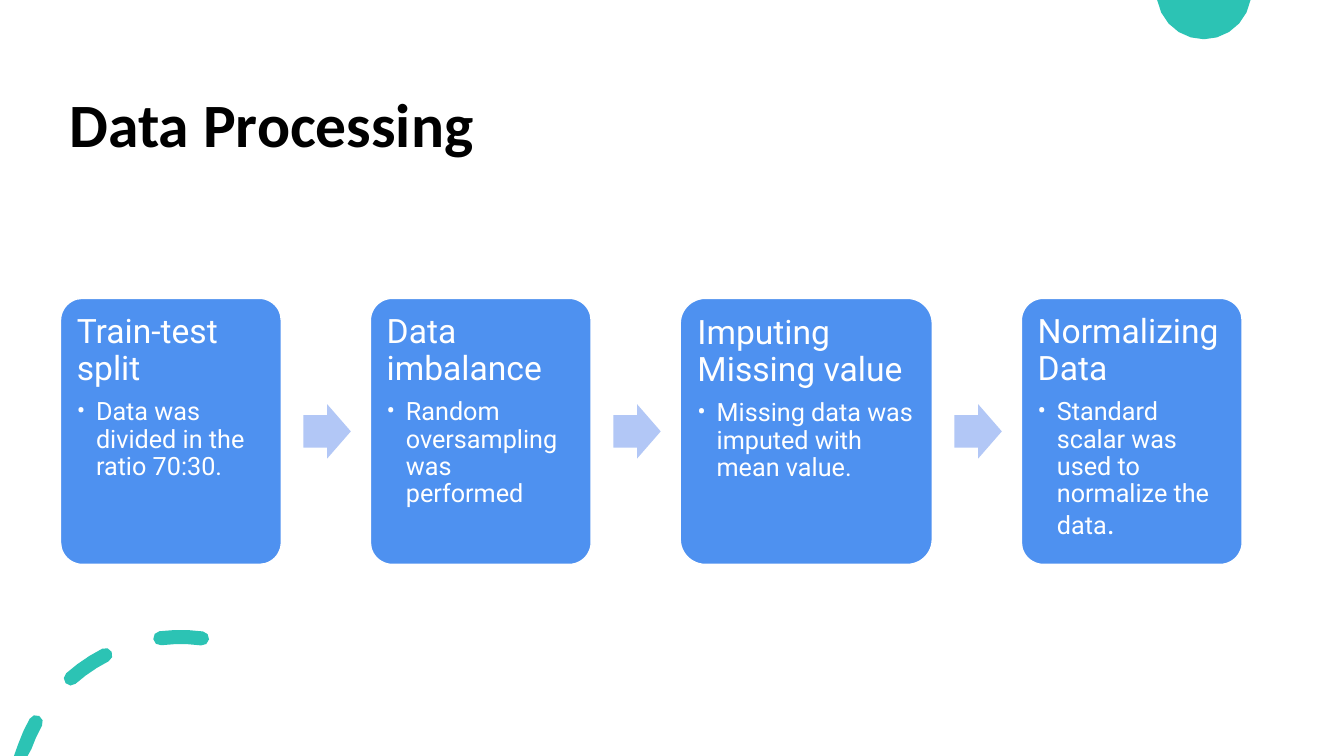
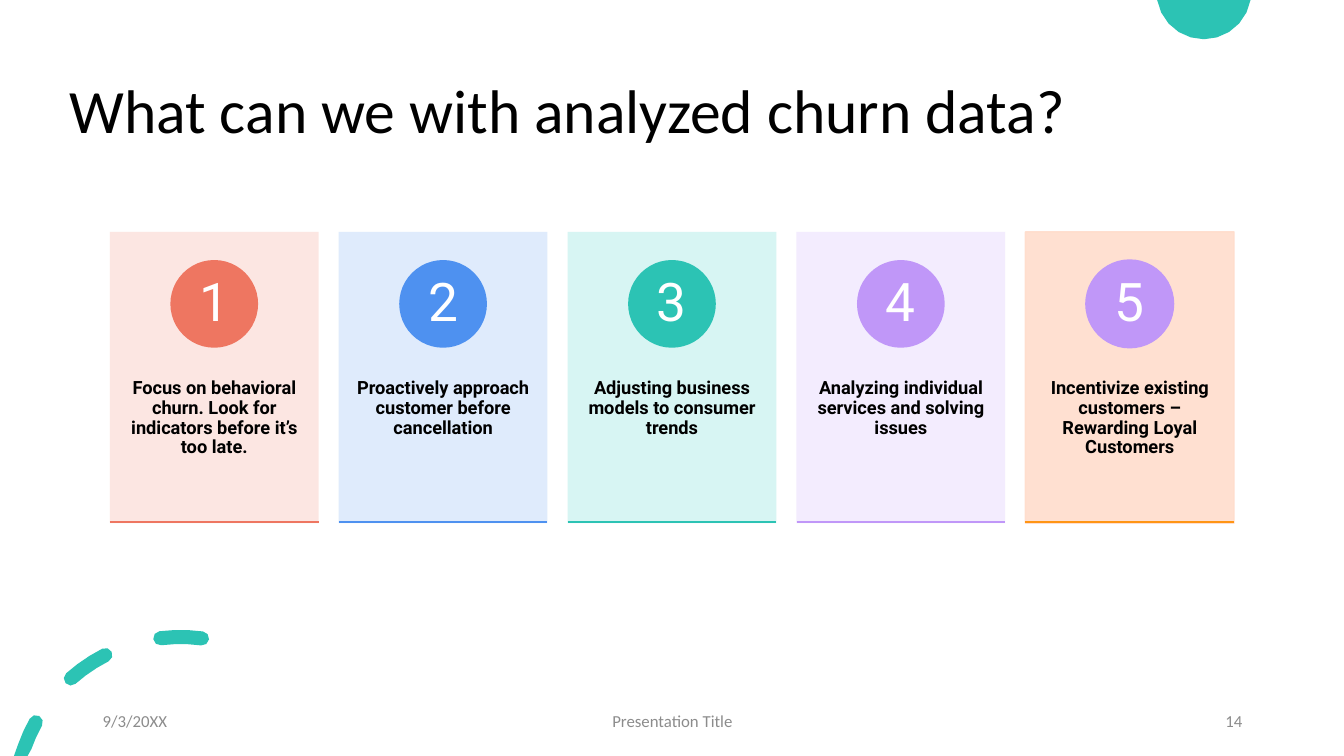
"""Builds two slides: data processing steps and uses of churn data."""
from dataclasses import dataclass
from math import cos, radians, sin

from lxml import etree
from pptx import Presentation
from pptx.dml.color import RGBColor
from pptx.enum.shapes import MSO_CONNECTOR, MSO_SHAPE
from pptx.enum.text import MSO_ANCHOR, PP_ALIGN
from pptx.oxml.ns import qn
from pptx.util import Inches, Pt

LEFT, CENTER, RIGHT = PP_ALIGN.LEFT, PP_ALIGN.CENTER, PP_ALIGN.RIGHT
TOP, MIDDLE = MSO_ANCHOR.TOP, MSO_ANCHOR.MIDDLE
RECT, ROUND_RECT = MSO_SHAPE.RECTANGLE, MSO_SHAPE.ROUNDED_RECTANGLE
ARROW, OVAL = MSO_SHAPE.RIGHT_ARROW, MSO_SHAPE.OVAL
STRAIGHT = MSO_CONNECTOR.STRAIGHT

SLIDE_W, SLIDE_H = 13.33, 7.5
HEAD_FONT, BODY_FONT = "Calibri", "Roboto"
BLACK, WHITE, GREY = "000000", "FFFFFF", "8C8C8C"
TEAL, BLUE, PALE_BLUE = "2CC3B4", "4E91F0", "B2C7F6"
CORAL, PURPLE, ORANGE, PEACH = "EE7661", "C097F8", "FF9514", "FFDDCC"

Points = list[tuple[float, float]]


@dataclass
class Run:
    text: str
    size: float
    color: str = WHITE
    font: str = BODY_FONT
    bold: bool = False


@dataclass
class Step:
    title: str
    runs: list[Run]
    width: float = 2.19


@dataclass
class Card:
    text: str
    fill: str
    accent: str
    rule: str
    border: str | None = None
    ring: str | None = None


@dataclass
class Footer:
    text: str
    left: float
    width: float
    align: PP_ALIGN


STEPS = [
    Step("Train-test split", [Run("Data was divided in the ratio 70:30.", 18)]),
    Step("Data imbalance", [Run("Random oversampling was performed", 18)]),
    Step("Imputing Missing value",
         [Run("Missing data was imputed with mean value.", 18)], 2.5),
    Step("Normalizing Data",
         [Run("Standard scalar was used to normalize the data", 18), Run(".", 22)]),
]
CARDS = [
    Card("Focus on behavioral churn. Look for indicators before it’s too late.",
         "FCE4DF", CORAL, CORAL),
    Card("Proactively approach customer before cancellation", "DCE9FC", BLUE, BLUE),
    Card("Adjusting business models to consumer trends", "D3F5F2", TEAL, TEAL),
    Card("Analyzing individual services and solving issues", "F2EAFE", PURPLE, PURPLE),
    Card("Incentivize existing customers – Rewarding Loyal Customers",
         PEACH, PURPLE, ORANGE, PEACH, PURPLE),
]
FOOTERS = [
    Footer("9/3/20XX", 0.92, 3, LEFT),
    Footer("Presentation Title", 4.42, 4.5, CENTER),
    Footer("14", 9.42, 3, RIGHT),
]


def rgb(color: str) -> RGBColor:
    return RGBColor.from_string(color)


def paint(sp, fill: str, line: str | None = None) -> None:
    sp.shadow.inherit = False
    sp.fill.solid()
    sp.fill.fore_color.rgb = rgb(fill)
    if line:
        sp.line.color.rgb = rgb(line)
        sp.line.width = Pt(1)
    else:
        sp.line.fill.background()


def set_opacity(sp, percent: int) -> None:
    for clr in sp._element.spPr.iter(qn("a:srgbClr")):
        etree.SubElement(clr, qn("a:alpha")).set("val", str(percent * 1000))


def add_box(s, kind, left: float, top: float, width: float, height: float,
            fill: str, line: str | None = None):
    sp = s.shapes.add_shape(kind, Inches(left), Inches(top), Inches(width), Inches(height))
    paint(sp, fill, line)
    return sp


def set_frame(sp, anchor, insets: tuple[float, float, float, float]):
    tf = sp.text_frame
    tf.word_wrap = True
    tf.vertical_anchor = anchor
    tf.margin_left, tf.margin_top, tf.margin_right, tf.margin_bottom = map(Inches, insets)
    return tf


def write(p, runs: list[Run], align=LEFT, spacing: float = 0.9, after: float = 0) -> None:
    p.alignment = align
    p.line_spacing = spacing
    p.space_after = Pt(after)
    for run in runs:
        r = p.add_run()
        r.text = run.text
        r.font.name = run.font
        r.font.size = Pt(run.size)
        r.font.bold = run.bold
        r.font.color.rgb = rgb(run.color)


def make_bullet(p, indent: float) -> None:
    p.level = 1
    pPr = p._p.get_or_add_pPr()
    pPr.set("marL", str(Inches(indent)))
    pPr.set("indent", str(-Inches(indent)))
    etree.SubElement(pPr, qn("a:buFont")).set("typeface", BODY_FONT)
    etree.SubElement(pPr, qn("a:buChar")).set("char", "•")


def add_label(s, left: float, top: float, width: float, height: float,
              run: Run, align=LEFT, spacing: float = 0.9) -> None:
    sp = s.shapes.add_textbox(Inches(left), Inches(top), Inches(width), Inches(height))
    tf = set_frame(sp, MIDDLE, (0.1, 0.05, 0.1, 0.05))
    write(tf.paragraphs[0], [run], align, spacing)


def polar(cx: float, cy: float, radius: float, angle: float) -> tuple[float, float]:
    return cx + radius * cos(radians(angle)), cy - radius * sin(radians(angle))


def arc(cx: float, cy: float, radius: float, start: float, end: float, steps: int) -> Points:
    return [polar(cx, cy, radius, start + (end - start) * i / steps)
            for i in range(steps + 1)]


def dash(start: float, end: float) -> Points:
    cx, cy, radius, half = 1.79, 7.96, 1.64, 0.07
    first, last = (polar(cx, cy, radius, angle) for angle in (start, end))
    end_cap = arc(*last, half, end, end + 180, 4)[1:-1] if last[1] < SLIDE_H else []
    return (arc(cx, cy, radius + half, start, end, 3) + end_cap
            + arc(cx, cy, radius - half, end, start, 3)
            + arc(*first, half, start + 180, start + 360, 4)[1:-1])


def add_outline(s, contours: list[Points]) -> None:
    builder = None
    for contour in contours:
        first, *rest = [(Inches(x), Inches(min(max(y, 0), SLIDE_H))) for x, y in contour]
        if builder is None:
            builder = s.shapes.build_freeform(*first, scale=1.0)
        else:
            builder.move_to(*first)
        builder.add_line_segments(rest, close=True)
    paint(builder.convert_to_shape(), TEAL)


def add_base(prs, title: str, top: float, height: float, bold: bool = False):
    s = prs.slides.add_slide(prs.slide_layouts[6])
    s.background.fill.solid()
    s.background.fill.fore_color.rgb = rgb(WHITE)
    add_outline(s, [arc(11.94, -0.08, 0.47, 190, 350, 10)])
    add_outline(s, [dash(151, 165), dash(117, 131.5), dash(82.5, 97)])
    add_label(s, 0.59, top, 11.5, height, Run(title, 44, BLACK, HEAD_FONT, bold))
    return s


def add_steps(s) -> None:
    left, right, top, height = 0.6, 12.32, 2.96, 2.64
    gap = (right - left - sum(step.width for step in STEPS)) / (len(STEPS) - 1)
    for i, step in enumerate(STEPS):
        if i:
            arrow = add_box(s, ARROW, left - gap + 0.22, 4.01, 0.47, 0.54, PALE_BLUE)
            arrow.adjustments[0] = 0.6
        sp = add_box(s, ROUND_RECT, left, top, step.width, height, BLUE, WHITE)
        sp.adjustments[0] = 0.1
        tf = set_frame(sp, TOP, (0.1, 0.1, 0.11, 0.1))
        write(tf.paragraphs[0], [Run(step.title, 24)], after=8.4)
        p = tf.add_paragraph()
        write(p, step.runs, after=2.7)
        make_bullet(p, 0.19)
        left += step.width + gap


def add_cards(s) -> None:
    top, width, height, pitch, size = 2.3, 2.07, 2.89, 2.27, 0.87
    for i, card in enumerate(CARDS):
        left = 1.09 + i * pitch
        sp = add_box(s, RECT, left, top, width, height, card.fill, card.border)
        set_opacity(sp, 90)
        tf = set_frame(sp, TOP, (0.16, 1.46, 0.16, 0.36))
        write(tf.paragraphs[0], [Run(card.text, 13, BLACK, bold=True)], CENTER)
        circle = add_box(s, OVAL, left + (width - size) / 2, 2.58, size, size,
                         card.accent, card.ring)
        tf = set_frame(circle, MIDDLE, (0.07, 0.01, 0.07, 0.01))
        write(tf.paragraphs[0], [Run(str(i + 1), 38)], CENTER)
        rule = s.shapes.add_connector(STRAIGHT, Inches(left), Inches(5.18),
                                      Inches(left + width), Inches(5.18))
        rule.line.color.rgb = rgb(card.rule)
        rule.line.width = Pt(1)
        etree.SubElement(rule._element.spPr, qn("a:effectLst"))


def main() -> None:
    prs = Presentation()
    prs.slide_width, prs.slide_height = Inches(SLIDE_W), Inches(SLIDE_H)
    add_steps(add_base(prs, "Data Processing", 0.79, 0.96, bold=True))
    s = add_base(prs, "What can we with analyzed churn data?", 0.4, 1.45)
    add_cards(s)
    for footer in FOOTERS:
        add_label(s, footer.left, 6.95, footer.width, 0.4,
                  Run(footer.text, 12, GREY, HEAD_FONT), footer.align, 1.0)
    prs.save("out.pptx")


if __name__ == "__main__":
    main()
